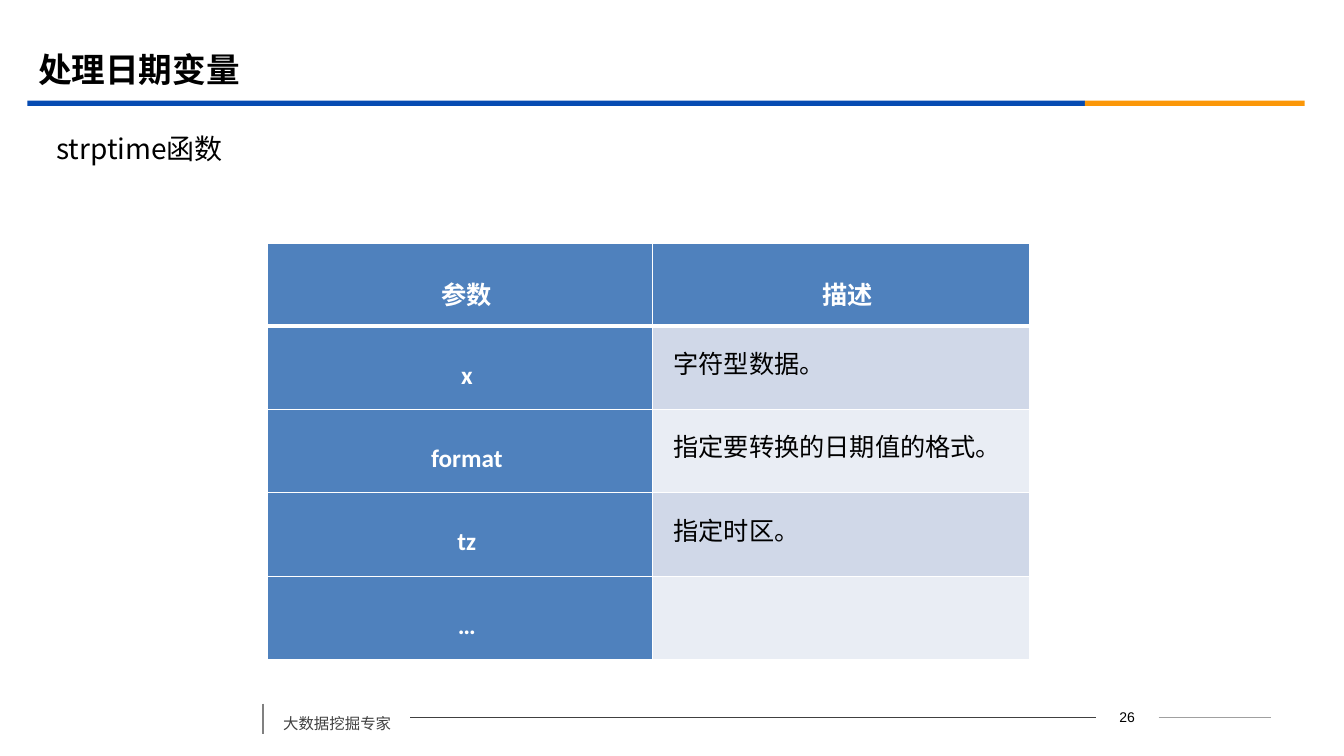
from dataclasses import dataclass

from lxml.etree import SubElement
from pptx import Presentation
from pptx.dml.color import RGBColor
from pptx.enum.shapes import MSO_CONNECTOR, MSO_SHAPE
from pptx.enum.text import MSO_ANCHOR, PP_ALIGN
from pptx.oxml.ns import qn
from pptx.util import Inches, Pt

WIDTH, HEIGHT = Inches(13.33), Inches(7.5)


@dataclass(frozen=True)
class Theme:
    cjk: str = "Noto Sans CJK SC"
    latin: str = "Calibri"
    number: str = "Arial"
    black: str = "000000"
    white: str = "FFFFFF"
    blue: str = "064BB2"
    orange: str = "FB9708"
    header: str = "4F81BD"
    bands: tuple = ("D0D8E8", "E9EDF4")
    footer: str = "404040"
    divider: str = "808080"
    faint: str = "A0A0A0"
    title_size: int = 24
    body_size: int = 20
    table_size: int = 18
    footer_size: int = 11
    number_size: int = 10


THEME = Theme()
PARAMETERS = [
    ("参数", "描述"),
    ("x", "字符型数据。"),
    ("format", "指定要转换的日期值的格式。"),
    ("tz", "指定时区。"),
    ("…", ""),
]


def across(percent):
    return round(WIDTH * percent / 100)


def down(percent):
    return round(HEIGHT * percent / 100)


def box(left, top, width, height):
    """Turn percentages of the slide into a position and size."""
    return across(left), down(top), across(width), down(height)


def paint(fill, color):
    fill.solid()
    fill.fore_color.rgb = RGBColor.from_string(color)


def style(paragraph, face, size, color, bold=False):
    font = paragraph.font
    font.size, font.bold, font.name = Pt(size), bold, face
    paint(font.fill, color)
    east_asian = SubElement(paragraph._p.pPr.find(qn("a:defRPr")), qn("a:ea"))
    east_asian.set("typeface", THEME.cjk)


def add_text(slide, text, place, face, size, color, bold=False,
             anchor=MSO_ANCHOR.MIDDLE, align=PP_ALIGN.LEFT, spacing=None):
    frame = slide.shapes.add_textbox(*place).text_frame
    frame.word_wrap = True
    frame.vertical_anchor = anchor
    paragraph = frame.paragraphs[0]
    paragraph.text = text
    paragraph.alignment = align
    paragraph.line_spacing = spacing
    style(paragraph, face, size, color, bold)


def add_bar(slide, place, color):
    bar = slide.shapes.add_shape(MSO_SHAPE.RECTANGLE, *place)
    bar.shadow.inherit = False
    paint(bar.fill, color)
    bar.line.fill.background()


def add_rule(slide, start, end, color, weight):
    rule = slide.shapes.add_connector(
        MSO_CONNECTOR.STRAIGHT,
        across(start[0]), down(start[1]), across(end[0]), down(end[1]))
    rule.line.width = Pt(weight)
    paint(rule.line.fill, color)
    SubElement(rule._element.spPr, qn("a:effectLst"))


def add_borders(cell, weights):
    """Draw white borders; weights maps the sides L, R, T and B to points."""
    properties = cell._tc.get_or_add_tcPr()
    for side, weight in weights.items():
        border = SubElement(properties, qn(f"a:ln{side}"), w=str(Pt(weight)))
        fill = SubElement(border, qn("a:solidFill"))
        SubElement(fill, qn("a:srgbClr"), val=THEME.white)


def fill_cell(cell, text, row, column):
    is_label = row == 0 or column == 0
    add_borders(cell, {"L": 1, "R": 1,
                       "T": 3 if row == 1 else 1,
                       "B": 3 if row == 0 else 1})
    paint(cell.fill, THEME.header if is_label else THEME.bands[(row - 1) % 2])
    cell.margin_left = cell.margin_right = Inches(0.07)
    cell.margin_top = cell.margin_bottom = 0
    cell.vertical_anchor = MSO_ANCHOR.MIDDLE if is_label else MSO_ANCHOR.TOP
    paragraph = cell.text_frame.paragraphs[0]
    paragraph.text = text
    paragraph.alignment = PP_ALIGN.CENTER if is_label else PP_ALIGN.JUSTIFY
    paragraph.line_spacing = 1.5
    paragraph._p.get_or_add_pPr().set("indent", str(Inches(0.14)))
    style(paragraph, THEME.latin, THEME.table_size,
          THEME.white if is_label else THEME.black, is_label)


def add_parameter_table(slide, left, top, column_widths, row_height):
    place = box(left, top, sum(column_widths), row_height * len(PARAMETERS))
    table = slide.shapes.add_table(
        len(PARAMETERS), len(column_widths), *place).table
    for column, width in zip(table.columns, column_widths):
        column.width = across(width)
    for row, texts in enumerate(PARAMETERS):
        table.rows[row].height = down(row_height)
        for column, text in enumerate(texts):
            fill_cell(table.cell(row, column), text, row, column)


def add_footer(slide):
    middle = 94.93
    add_text(slide, "26", box(81.55, 93.2, 4.65, 3.33), THEME.number,
             THEME.number_size, THEME.black, align=PP_ALIGN.CENTER)
    add_rule(slide, (86.2, middle), (94.6, middle), THEME.faint, 0.75)
    add_rule(slide, (30.53, middle), (81.55, middle), THEME.footer, 0.75)
    add_text(slide, "大数据挖掘专家", box(20.33, 92.53, 10.2, 5.07), THEME.cjk,
             THEME.footer_size, THEME.footer, anchor=MSO_ANCHOR.TOP, spacing=1.5)
    add_rule(slide, (19.58, 93.07), (19.58, 97.07), THEME.divider, 1.25)


def main():
    deck = Presentation()
    deck.slide_width, deck.slide_height = WIDTH, HEIGHT
    slide = deck.slides.add_slide(deck.slide_layouts[6])
    add_bar(slide, box(2.03, 13.33, 78.69, 0.67), THEME.blue)
    add_bar(slide, box(80.72, 13.33, 16.35, 0.67), THEME.orange)
    add_footer(slide)
    add_parameter_table(slide, 19.88, 32.13, (28.66, 28.06), 11.02)
    add_text(slide, "处理日期变量", box(2.1, 5.2, 90, 7.73), THEME.cjk,
             THEME.title_size, THEME.black, bold=True)
    add_text(slide, "strptime函数", box(3.45, 16.53, 91.15, 6.27), THEME.cjk,
             THEME.body_size, THEME.black)
    deck.save("out.pptx")


if __name__ == "__main__":
    main()
